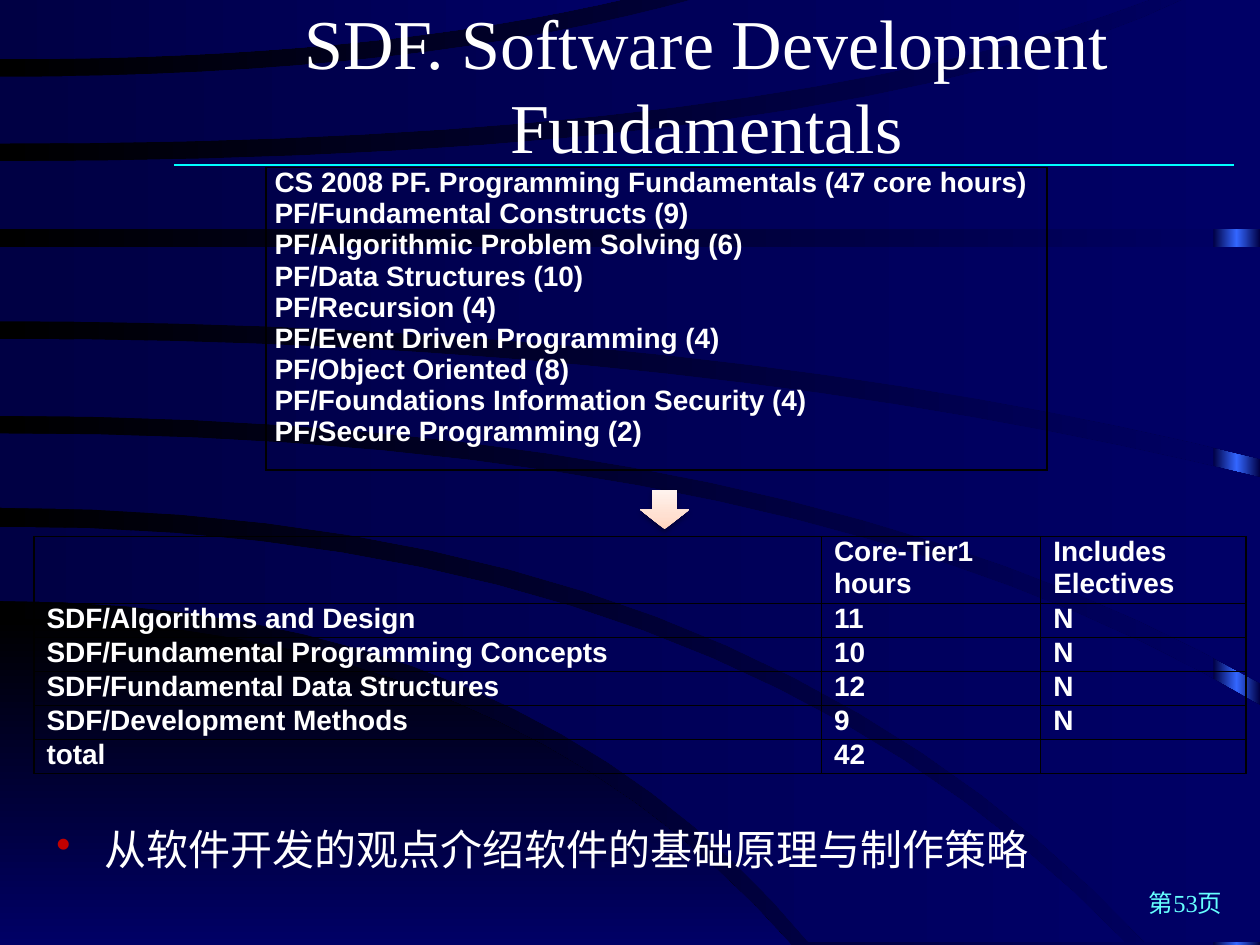
from lxml.etree import SubElement
from pptx import Presentation
from pptx.dml.color import RGBColor
from pptx.enum.shapes import MSO_CONNECTOR, MSO_SHAPE
from pptx.enum.text import MSO_ANCHOR, MSO_AUTO_SIZE, PP_ALIGN
from pptx.oxml.ns import qn
from pptx.util import Inches, Pt

SERIF, SANS, CHINESE = "Times New Roman", "Arial", "Noto Sans CJK SC"
WHITE, BLACK, NAVY, BLUE = "FFFFFF", "000000", "000044", "000066"
DARK_TO_BLUE = [(0, BLACK), (100, BLUE)]
BAND_STOPS = [(0, NAVY), (100, BLUE)]

OLD_UNITS = """CS 2008 PF. Programming Fundamentals (47 core hours)
PF/Fundamental Constructs (9)
PF/Algorithmic Problem Solving (6)
PF/Data Structures (10)
PF/Recursion (4)
PF/Event Driven Programming (4)
PF/Object Oriented (8)
PF/Foundations Information Security (4)
PF/Secure Programming (2)"""
NEW_UNITS = [
    ["", "Core-Tier1\nhours", "Includes\nElectives"],
    ["SDF/Algorithms and Design", "11", "N"],
    ["SDF/Fundamental Programming Concepts", "10", "N"],
    ["SDF/Fundamental Data Structures", "12", "N"],
    ["SDF/Development Methods", "9", "N"],
    ["total", "42", ""]]


def color(code):
    return RGBColor.from_string(code)


def add_node(parent, tag, **attributes):
    return SubElement(parent, qn(tag), {key: str(value) for key, value in attributes.items()})


def set_gradient(fill, owner, stops, angle):
    """Fill with (percent, colour) stops; the angle runs clockwise in degrees."""
    fill.gradient()
    fill.gradient_angle = 360 - angle
    stop_list = owner.xpath(".//a:gradFill/a:gsLst")[0]
    for old_stop in list(stop_list):
        stop_list.remove(old_stop)
    for percent, code in stops:
        add_node(add_node(stop_list, "a:gs", pos=percent * 1000), "a:srgbClr", val=code)


def style_shape(shape, stops, angle=0):
    set_gradient(shape.fill, shape._element, stops, angle)
    shape.line.fill.background()
    shape.shadow.inherit = False


def add_preset(page, kind, bounds, stops, angle=0):
    shape = page.shapes.add_shape(kind, *map(Inches, bounds))
    style_shape(shape, stops, angle)
    return shape


def sweep(start_y, bend_x, end_x, end_y, steps=16):
    """Points of a quadratic curve that leaves the left edge level."""
    points = []
    for step in range(steps + 1):
        t = step / steps
        points.append((2 * t * (1 - t) * bend_x + t * t * end_x, start_y + t * t * (end_y - start_y)))
    return points


def add_curved_area(page, upper, lower, stops=BAND_STOPS, angle=0):
    corners = [(Inches(x), Inches(y)) for x, y in upper + lower[::-1]]
    builder = page.shapes.build_freeform(*corners[0])
    builder.add_line_segments(corners[1:], close=True)
    style_shape(builder.convert_to_shape(), stops, angle)


def write(frame, text, size, font, code=WHITE, bold=False, align=PP_ALIGN.LEFT):
    """Write one paragraph for each line of text."""
    for index, line in enumerate(text.split("\n")):
        para = frame.add_paragraph() if index else frame.paragraphs[0]
        para.alignment = align
        if not line:
            para._p.get_or_add_endParaRPr().set("sz", str(size * 100))
            continue
        span = para.add_run()
        span.text = line
        span.font.size, span.font.name, span.font.bold = Pt(size), font, bold
        span.font.color.rgb = color(code)
        add_node(span._r.get_or_add_rPr(), "a:ea", typeface=CHINESE)


def add_text(page, bounds, text, size, font, **style):
    box = page.shapes.add_textbox(*map(Inches, bounds))
    box.text_frame.word_wrap = True
    write(box.text_frame, text, size, font, **style)
    return box


def add_bullet(para, indent, code):
    properties = para._p.get_or_add_pPr()
    properties.set("marL", str(Inches(indent)))
    properties.set("indent", str(-Inches(indent)))
    add_node(add_node(properties, "a:spcBef"), "a:spcPct", val=20000)
    add_node(add_node(properties, "a:buClr"), "a:srgbClr", val=code)
    add_node(properties, "a:buChar", char="•")


def add_grid(page, left, top, widths, heights, rows, inset):
    frame = page.shapes.add_table(len(rows), len(widths), Inches(left), Inches(top),
                                  Inches(sum(widths)), Inches(sum(heights)))
    table = frame.table
    table.first_row = table.horz_banding = False
    for column, width in zip(table.columns, widths):
        column.width = Inches(width)
    for row, height, texts in zip(table.rows, heights, rows):
        row.height = Inches(height)
        for cell, text in zip(row.cells, texts):
            cell.margin_left = cell.margin_right = Inches(inset)
            cell.margin_top = cell.margin_bottom = 0
            properties = cell._tc.get_or_add_tcPr()
            for side in ("a:lnL", "a:lnR", "a:lnT", "a:lnB"):
                border = add_node(properties, side, w=Pt(1))
                add_node(add_node(border, "a:solidFill"), "a:srgbClr", val=BLACK)
            cell.fill.background()
            write(cell.text_frame, text, 16, SANS, bold=True)


def add_rule(page, left, right, y, code):
    rule = page.shapes.add_connector(MSO_CONNECTOR.STRAIGHT, Inches(left), Inches(y), Inches(right), Inches(y))
    rule.line.color.rgb = color(code)
    rule.line.width = Pt(0.75)
    add_node(rule._element.spPr, "a:effectLst")


def add_soft_shadow(shape):
    effects = shape._element.spPr.find(qn("a:effectLst"))
    shadow = add_node(effects, "a:outerShdw", blurRad=Pt(3.1), dist=Pt(1.6), dir=90 * 60000, rotWithShape=0)
    add_node(add_node(shadow, "a:srgbClr", val=BLACK), "a:alpha", val=38000)


def place_title(page, bounds, text):
    title = page.shapes.title
    title.left, title.top, title.width, title.height = map(Inches, bounds)
    frame = title.text_frame
    frame.word_wrap, frame.auto_size = True, MSO_AUTO_SIZE.NONE
    frame.vertical_anchor = MSO_ANCHOR.MIDDLE
    write(frame, text, 40, SERIF, align=PP_ALIGN.CENTER)
    page.shapes._spTree.append(title._element)


def draw_backdrop(page):
    set_gradient(page.background.fill, page._element, DARK_TO_BLUE, 0)
    add_preset(page, MSO_SHAPE.RECTANGLE, (9.63, 0, 0.37, 7.5), [(0, NAVY), (50, "3366FF"), (100, NAVY)])
    add_curved_area(page, sweep(4.91, 4, 6.28, 7.5), [(0, 7.5)], DARK_TO_BLUE, 90)
    add_curved_area(page, sweep(4.18, 5.74, 8.93, 7.48), sweep(4.77, 4.17, 6.42, 7.48))
    add_curved_area(page, sweep(3.44, 6.4, 10, 5.6), sweep(4.03, 5.87, 9.09, 7.48) + [(10, 7.48)])
    add_curved_area(page, sweep(2.69, 5.54, 10, 3.79), sweep(3.3, 6.28, 10, 5.42))
    add_curved_area(page, [(0, 1.96), (10, 1.96)], sweep(2.55, 5.66, 10, 3.64))
    add_curved_area(page, sweep(1.28, 6.75, 9.43, -0.02) + [(10, -0.02)], [(0, 1.82), (10, 1.82)])
    add_curved_area(page, sweep(0.61, 3.34, 5.56, -0.02), sweep(1.14, 6.15, 9.17, -0.02))
    add_curved_area(page, [(0, -0.02)], sweep(0.47, 2.94, 5.01, -0.02))
    add_rule(page, 1.38, 9.79, 1.31, "00FFFF")


def main():
    deck = Presentation()
    deck.slide_width, deck.slide_height = Inches(10), Inches(7.5)
    page = deck.slides.add_slide(deck.slide_layouts[5])
    draw_backdrop(page)
    add_grid(page, 0.27, 4.26, [6.25, 1.74, 1.63], [0.53] + [0.27] * 5, NEW_UNITS, 0.1)
    place_title(page, (1.39, 0.19, 8.43, 0.94), "SDF. Software Development Fundamentals")
    add_grid(page, 2.11, 1.33, [6.2], [2.4], [[OLD_UNITS]], 0.07)
    arrow = add_preset(page, MSO_SHAPE.DOWN_ARROW, (5.08, 3.89, 0.39, 0.31),
                       [(0, "FFD4BD"), (35, "FFE0D1"), (100, "FFF3EE")], 270)
    add_soft_shadow(arrow)
    aim = add_text(page, (0.35, 6.49, 9, 0.56), "从软件开发的观点介绍软件的基础原理与制作策略", 24, CHINESE)
    add_bullet(aim.text_frame.paragraphs[0], 0.38, "C00000")
    add_text(page, (7.72, 7, 2.08, 0.36), "第53页", 14, SERIF, code="66FFFF", align=PP_ALIGN.RIGHT)
    deck.save("out.pptx")


if __name__ == "__main__":
    main()
